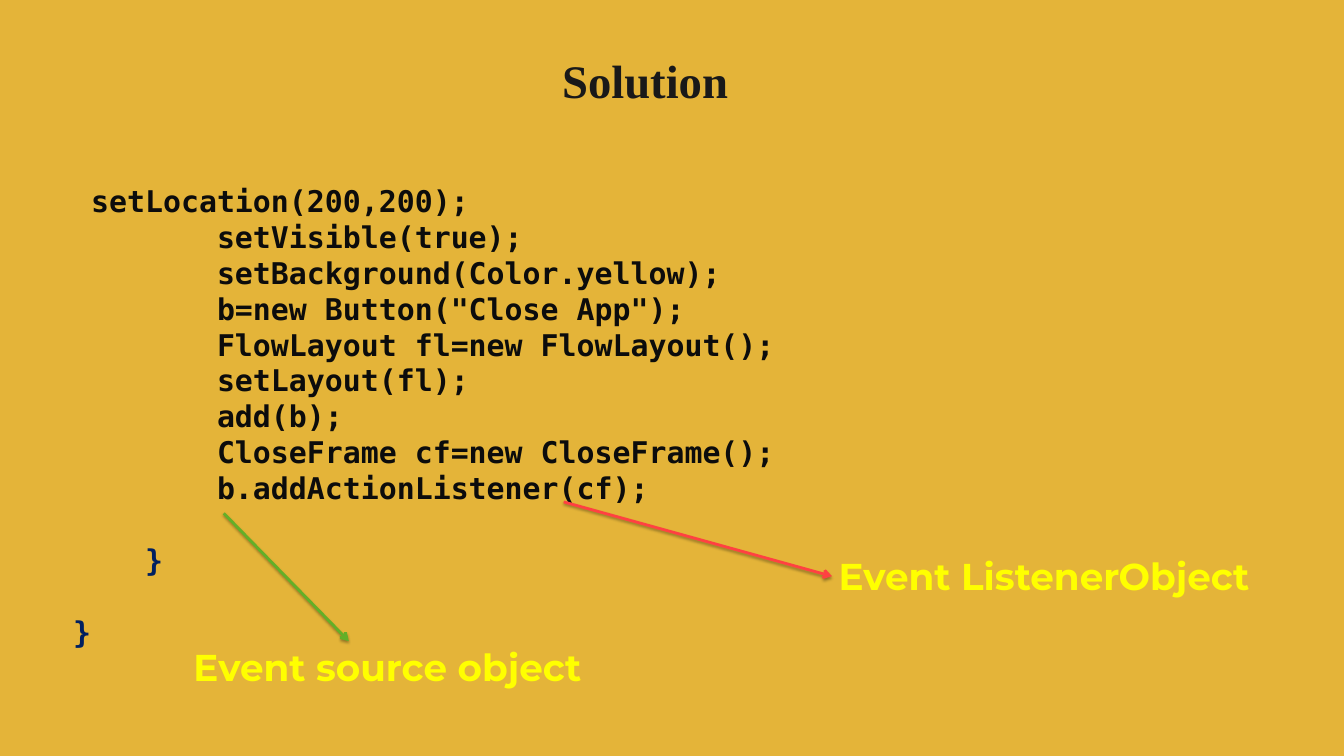
from dataclasses import dataclass

from lxml.etree import SubElement
from pptx import Presentation
from pptx.dml.color import RGBColor
from pptx.enum.shapes import MSO_CONNECTOR
from pptx.enum.text import MSO_ANCHOR, PP_ALIGN
from pptx.oxml.ns import qn
from pptx.util import Pt


@dataclass(frozen=True)
class Theme:
    background: str = "E4B439"
    title: str = "191919"
    code: str = "0C0C0C"
    brace: str = "002060"
    label: str = "FFFF00"
    source_arrow: str = "63AF28"
    listener_arrow: str = "FF4141"
    shadow: str = "000000"
    title_font: str = "Times New Roman"
    code_font: str = "DejaVu Sans Mono"
    label_font: str = "Montserrat"
    title_size: float = 50
    code_size: float = 32
    code_pitch: float = 38.45
    label_size: float = 40
    arrow_width: float = 3


THEME = Theme()

CODE_LINES = [
    " setLocation(200,200);",
    "        setVisible(true);",
    "        setBackground(Color.yellow);",
    '        b=new Button("Close App");',
    "        FlowLayout fl=new FlowLayout();",
    "        setLayout(fl);",
    "        add(b);",
    "        CloseFrame cf=new CloseFrame();",
    "        b.addActionListener(cf);",
]
CLOSING_LINES = ["    }", "}"]


def add_span(para, text, font, size, color):
    span = para.add_run()
    span.text = text
    span.font.name = font
    span.font.size = Pt(size)
    span.font.bold = True
    span.font.color.rgb = RGBColor.from_string(color)


def add_title(page, text, left, top, width, height):
    title = page.shapes.title
    title.left, title.top, title.width, title.height = map(Pt, (left, top, width, height))
    title.text_frame.vertical_anchor = MSO_ANCHOR.MIDDLE
    para = title.text_frame.paragraphs[0]
    para.alignment = PP_ALIGN.CENTER
    add_span(para, text, THEME.title_font, THEME.title_size, THEME.title)


def add_text_box(page, left, top, width, height):
    box = page.shapes.add_textbox(Pt(left), Pt(top), Pt(width), Pt(height))
    box.text_frame.word_wrap = True
    return box


def add_code(page, left, top, width, height):
    frame = add_text_box(page, left, top, width, height).text_frame
    # Each closing brace stands one empty line below the text before it
    rows = [(line, THEME.code, 0) for line in CODE_LINES]
    rows += [(line, THEME.brace, THEME.code_pitch) for line in CLOSING_LINES]
    for index, (line, color, gap) in enumerate(rows):
        para = frame.add_paragraph() if index else frame.paragraphs[0]
        para.line_spacing = Pt(THEME.code_pitch)
        if gap:
            para.space_before = Pt(gap)
        add_span(para, line, THEME.code_font, THEME.code_size, color)


def add_label(page, text, left, top, width, height):
    box = add_text_box(page, left, top, width, height)
    add_span(box.text_frame.paragraphs[0], text, THEME.label_font,
             THEME.label_size, THEME.label)
    return box


def add_arrow(page, start, end, color):
    arrow = page.shapes.add_connector(MSO_CONNECTOR.STRAIGHT, *map(Pt, start + end))
    arrow.line.color.rgb = RGBColor.from_string(color)
    arrow.line.width = Pt(THEME.arrow_width)
    SubElement(arrow.line._get_or_add_ln(), qn("a:tailEnd"), type="arrow")

    # Soft shadow straight below the line
    effects = SubElement(arrow._element.spPr, qn("a:effectLst"))
    shadow = SubElement(effects, qn("a:outerShdw"), blurRad=str(Pt(3.1)),
                        dist=str(Pt(1.8)), dir="5400000", rotWithShape="0")
    tone = SubElement(shadow, qn("a:srgbClr"), val=THEME.shadow)
    SubElement(tone, qn("a:alpha"), val="35000")
    return arrow


def main():
    deck = Presentation()
    deck.slide_width, deck.slide_height = Pt(1440), Pt(810)
    page = deck.slides.add_slide(deck.slide_layouts[5])
    page.background.fill.solid()
    page.background.fill.fore_color.rgb = RGBColor.from_string(THEME.background)

    # Title and code listing
    add_title(page, "Solution", 326.2, 27.4, 730, 116)
    add_code(page, 71.3, 192.2, 1304.6, 550)

    # Labels
    add_label(page, "Event source object", 200.2, 686.9, 608.4, 55.4)
    listener = add_label(page, "Event ListenerObject", 891.4, 589.7, 496.8, 55.4)

    # Arrows from the last call to its two objects
    add_arrow(page, (239.8, 550), (373.7, 686.9), THEME.source_arrow)
    listener_arrow = add_arrow(page, (604, 537.8), (891.4, 617.4), THEME.listener_arrow)
    listener_arrow.end_connect(listener, 1)

    deck.save("out.pptx")


if __name__ == "__main__":
    main()
